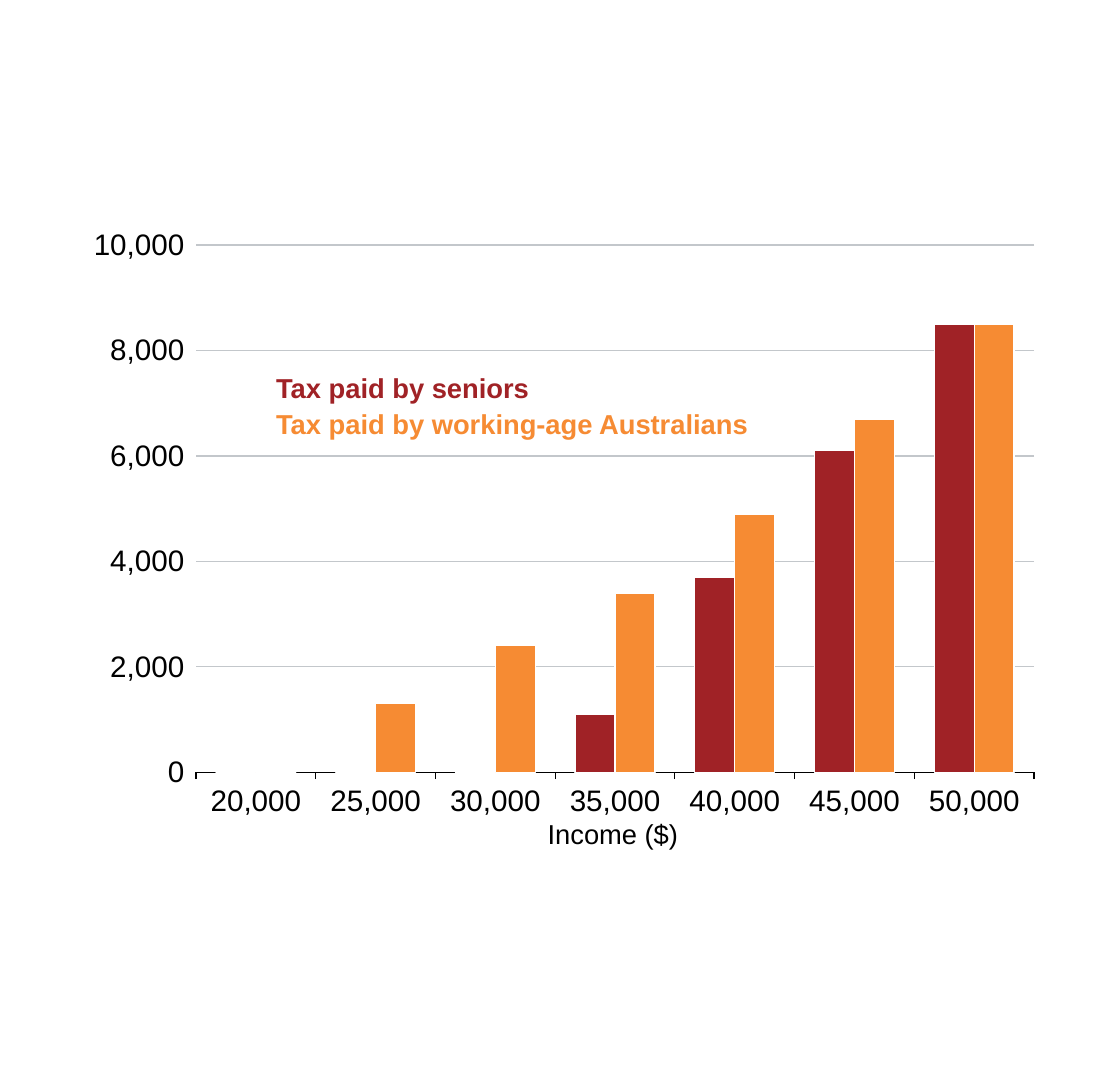
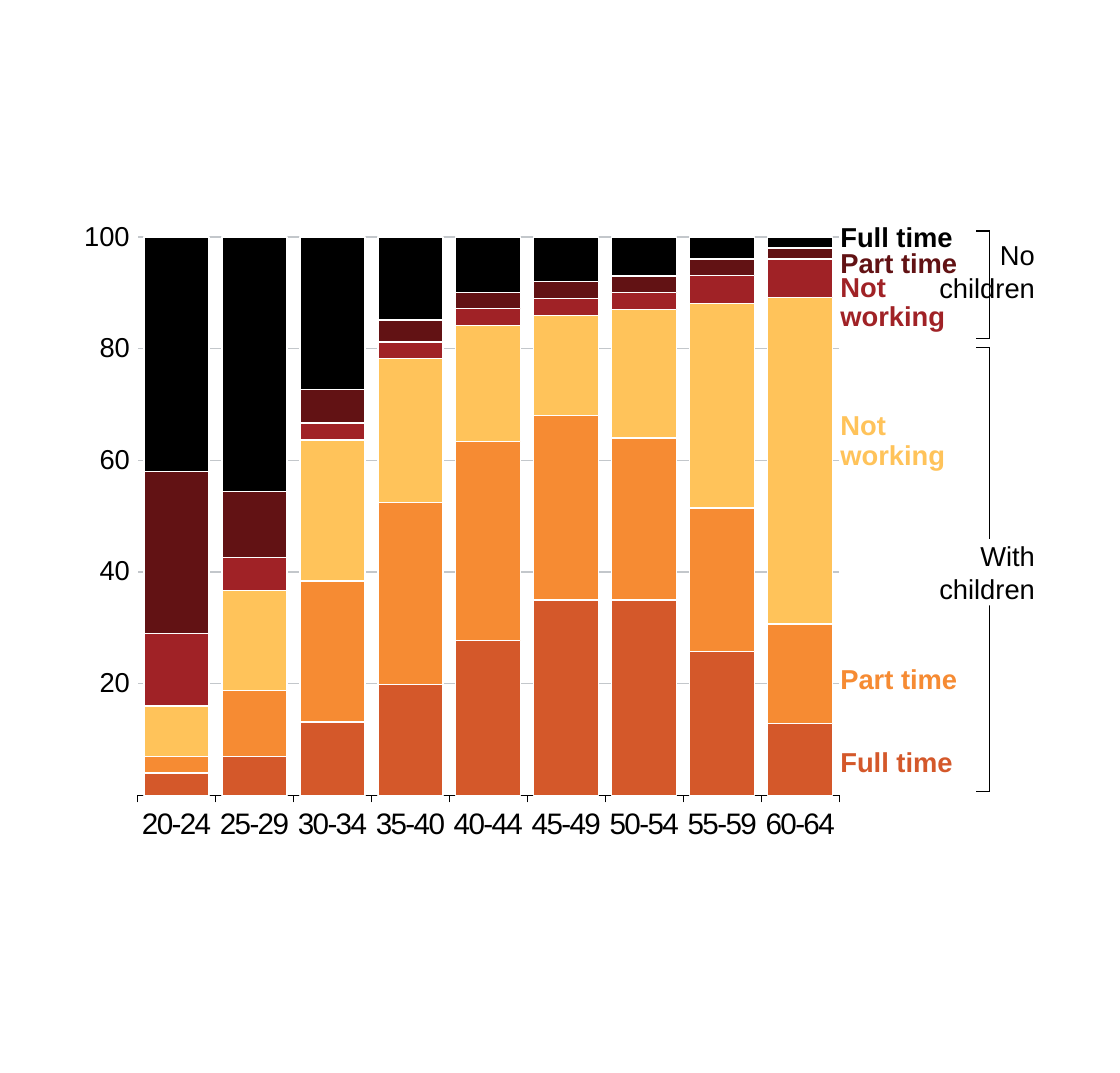
from dataclasses import dataclass

from lxml import etree
from pptx import Presentation
from pptx.chart.axis import CategoryAxis, ValueAxis
from pptx.chart.chart import Chart
from pptx.chart.data import CategoryChartData
from pptx.dml.color import RGBColor
from pptx.dml.line import LineFormat
from pptx.enum.chart import XL_CHART_TYPE, XL_TICK_LABEL_POSITION, XL_TICK_MARK
from pptx.enum.shapes import MSO_CONNECTOR, MSO_SHAPE
from pptx.enum.text import MSO_AUTO_SIZE, PP_ALIGN
from pptx.oxml.ns import qn
from pptx.slide import Slide
from pptx.text.text import Font
from pptx.util import Cm, Emu, Pt

CLUSTERED = XL_CHART_TYPE.COLUMN_CLUSTERED
STACKED_100 = XL_CHART_TYPE.COLUMN_STACKED_100
NO_LABELS = XL_TICK_LABEL_POSITION.NONE
TICK_OUT, TICK_NONE = XL_TICK_MARK.OUTSIDE, XL_TICK_MARK.NONE
STRAIGHT = MSO_CONNECTOR.STRAIGHT
RECTANGLE = MSO_SHAPE.RECTANGLE
FIT_SHAPE = MSO_AUTO_SIZE.SHAPE_TO_FIT_TEXT
LEFT, RIGHT = PP_ALIGN.LEFT, PP_ALIGN.RIGHT

EMU_PER_PX = 9144  # 100 px to the inch
SLIDE_WIDTH, SLIDE_HEIGHT = Cm(24), Cm(23)

FONT = "Arial"
LABEL_SIZE, AXIS_SIZE, LINE_WIDTH = 16.6, 18, 0.75
BLACK, WHITE, GRID = "000000", "FFFFFF", "C3C7CB"
RED, MAROON = "A02226", "621214"
RUST, ORANGE, YELLOW = "D4582A", "F68B33", "FFC35A"


@dataclass(frozen=True)
class Box:
    left: int
    top: int
    width: int
    height: int

    def emu(self) -> tuple[Emu, ...]:
        return tuple(px(n) for n in (self.left, self.top, self.width, self.height))


@dataclass(frozen=True)
class Label:
    lines: tuple[str, ...]
    box: Box
    color: str = BLACK
    bold: bool = False
    align: PP_ALIGN = LEFT
    spacing: float = 1.0


@dataclass(frozen=True)
class Series:
    color: str
    values: tuple[int, ...]


@dataclass(frozen=True)
class ColumnChart:
    kind: XL_CHART_TYPE
    box: Box
    plot: tuple[float, float, float, float]
    categories: tuple[str, ...]
    series: tuple[Series, ...]
    gap: int
    overlap: int
    maximum: float
    step: float
    number_format: str


@dataclass(frozen=True)
class Bracket:
    top: int
    bottom: int
    spine: int = 835
    tip: int = 823


SENIORS_TAX = ColumnChart(
    kind=CLUSTERED,
    box=Box(63, 182, 826, 518),
    plot=(0.124, 0.048, 0.856, 0.859),
    categories=tuple(f"{income:,}" for income in range(20000, 50001, 5000)),
    series=(
        Series(RED, (0, 0, 0, 1100, 3700, 6100, 8500)),
        Series(ORANGE, (0, 1300, 2400, 3400, 4900, 6700, 8500)),
    ),
    gap=100, overlap=0, maximum=10000, step=2000, number_format="#,##0",
)
TAX_LABELS = (
    Label(("Tax paid by seniors",), Box(233, 313, 216, 28), RED, True),
    Label(("Tax paid by working-age Australians",), Box(233, 344, 403, 28), ORANGE, True),
    Label(("Income ($)",), Box(462, 690, 111, 28)),
)

WORK_BY_AGE = ColumnChart(
    kind=STACKED_100,
    box=Box(31, 183, 868, 532),
    plot=(0.098, 0.032, 0.682, 0.886),
    categories=("20-24", "25-29", "30-34", "35-40", "40-44",
                "45-49", "50-54", "55-59", "60-64"),
    series=(
        Series(RUST, (4, 7, 13, 20, 28, 35, 35, 26, 13)),
        Series(ORANGE, (3, 12, 25, 33, 36, 33, 29, 26, 18)),
        Series(YELLOW, (9, 18, 25, 26, 21, 18, 23, 37, 59)),
        Series(RED, (13, 6, 3, 3, 3, 3, 3, 5, 7)),
        Series(MAROON, (29, 12, 6, 4, 3, 3, 3, 3, 2)),
        Series(BLACK, (42, 46, 27, 15, 10, 8, 7, 4, 2)),
    ),
    gap=20, overlap=100, maximum=1, step=0.2, number_format="0%",
)
WORK_LABELS = (
    Label(("Full time",), Box(709, 186, 96, 28), BLACK, True),
    Label(("Not", "working"), Box(709, 348, 89, 50), YELLOW, True, spacing=0.9),
    Label(("Part time",), Box(709, 208, 100, 28), MAROON, True),
    Label(("Not", "working"), Box(709, 231, 89, 50), RED, True, spacing=0.9),
    Label(("Part time",), Box(709, 559, 100, 28), ORANGE, True),
    Label(("Full time",), Box(709, 629, 96, 28), RUST, True),
)
FAMILY_LABELS = (
    Label(("No", "children"), Box(792, 201, 81, 56), align=RIGHT),
    Label(("With", "children"), Box(792, 455, 81, 56), align=RIGHT),
)
FAMILY_BRACKETS = (Bracket(195, 286), Bracket(293, 668))
WITH_CHILDREN_GAP = Box(820, 455, 30, 56)

PERCENT_RIGHT, PERCENT_TOP, PERCENT_STEP, DIGIT_WIDTH = 110, 185, 94, 13


def px(length: int) -> Emu:
    return Emu(length * EMU_PER_PX)


def rgb(color: str) -> RGBColor:
    return RGBColor.from_string(color)


def set_all(target: object, formats: dict[str, object]) -> None:
    for attribute, value in formats.items():
        setattr(target, attribute, value)


def style_font(font: Font, size: float, color: str, bold: bool = False) -> None:
    set_all(font, {"name": FONT, "size": Pt(size), "bold": bold})
    font.color.rgb = rgb(color)


def style_line(line: LineFormat, color: str) -> None:
    line.width = Pt(LINE_WIDTH)
    line.color.rgb = rgb(color)


def add_label(slide: Slide, label: Label) -> None:
    frame = slide.shapes.add_textbox(*label.box.emu()).text_frame
    margins = dict.fromkeys(
        ("margin_left", "margin_top", "margin_right", "margin_bottom"), 0)
    set_all(frame, {**margins, "word_wrap": False, "auto_size": FIT_SHAPE})
    frame.text = "\n".join(label.lines)
    for paragraph in frame.paragraphs:
        set_all(paragraph, {"alignment": label.align, "line_spacing": label.spacing})
        style_font(paragraph.runs[0].font, LABEL_SIZE, label.color, label.bold)


def add_bracket(slide: Slide, bracket: Bracket) -> None:
    group = slide.shapes.add_group_shape()
    spine, tip, top, bottom = bracket.spine, bracket.tip, bracket.top, bracket.bottom
    for ends in ((spine, top, spine, bottom),
                 (spine, top, tip, top),
                 (spine, bottom, tip, bottom)):
        line = group.shapes.add_connector(STRAIGHT, *(px(n) for n in ends))
        style_line(line.line, BLACK)
        etree.SubElement(line._element.spPr, qn("a:effectLst"))


def add_mask(slide: Slide, box: Box) -> None:
    """Open a white gap in a bracket for its label."""
    mask = slide.shapes.add_shape(RECTANGLE, *box.emu())
    mask.shadow.inherit = False
    mask.fill.solid()
    mask.fill.fore_color.rgb = rgb(WHITE)
    mask.line.fill.background()


def place_plot(chart: Chart, plot: tuple[float, float, float, float]) -> None:
    """Fix the inner plot area as fractions of the chart."""
    area = chart._chartSpace.chart.plotArea
    for old_layout in area.findall(qn("c:layout")):
        area.remove(old_layout)
    layout = etree.Element(qn("c:layout"))
    manual = etree.SubElement(layout, qn("c:manualLayout"))
    settings = {"layoutTarget": "inner", "xMode": "edge", "yMode": "edge",
                **dict(zip("xywh", plot))}
    for tag, value in settings.items():
        etree.SubElement(manual, qn(f"c:{tag}")).set("val", str(value))
    area.insert(0, layout)


def style_category_axis(axis: CategoryAxis) -> None:
    set_all(axis, {"major_tick_mark": TICK_OUT, "minor_tick_mark": TICK_NONE,
                   "has_major_gridlines": False})
    style_font(axis.tick_labels.font, AXIS_SIZE, BLACK)
    style_line(axis.format.line, BLACK)


def style_value_axis(axis: ValueAxis, data: ColumnChart) -> None:
    set_all(axis, {"minimum_scale": 0, "maximum_scale": data.maximum,
                   "major_unit": data.step, "has_major_gridlines": True,
                   "major_tick_mark": TICK_OUT, "minor_tick_mark": TICK_NONE})
    set_all(axis.tick_labels, {"number_format": data.number_format,
                               "number_format_is_linked": False})
    style_font(axis.tick_labels.font, AXIS_SIZE, BLACK)
    axis.format.line.fill.background()
    style_line(axis.major_gridlines.format.line, GRID)


def add_column_chart(slide: Slide, data: ColumnChart) -> Chart:
    numbers = CategoryChartData()
    numbers.categories = data.categories
    for index, series in enumerate(data.series, 1):
        numbers.add_series(f"Series {index}", series.values)
    chart = slide.shapes.add_chart(data.kind, *data.box.emu(), numbers).chart
    set_all(chart, {"has_title": False, "has_legend": False})
    style_font(chart.font, AXIS_SIZE, BLACK)
    place_plot(chart, data.plot)
    style_category_axis(chart.category_axis)
    style_value_axis(chart.value_axis, data)
    columns = chart.plots[0]
    set_all(columns, {"gap_width": data.gap, "overlap": data.overlap,
                      "vary_by_categories": False})
    for drawn, series in zip(columns.series, data.series):
        drawn.invert_if_negative = False
        drawn.format.fill.solid()
        drawn.format.fill.fore_color.rgb = rgb(series.color)
        style_line(drawn.format.line, WHITE)
    return chart


def build_tax_slide(slide: Slide) -> None:
    add_column_chart(slide, SENIORS_TAX)
    for label in TAX_LABELS:
        add_label(slide, label)


def build_work_slide(slide: Slide) -> None:
    chart = add_column_chart(slide, WORK_BY_AGE)
    chart.value_axis.tick_label_position = NO_LABELS
    age_font = chart.category_axis._element.find(f".//{qn('a:defRPr')}")
    age_font.set("spc", "-100")
    for bracket in FAMILY_BRACKETS:
        add_bracket(slide, bracket)
    add_mask(slide, WITH_CHILDREN_GAP)
    for label in WORK_LABELS + FAMILY_LABELS:
        add_label(slide, label)
    for row, percent in enumerate(range(100, 0, -20)):
        width = DIGIT_WIDTH * len(str(percent))
        top = PERCENT_TOP + row * PERCENT_STEP
        add_label(slide, Label((str(percent),), Box(PERCENT_RIGHT - width, top, width, 28)))


def main() -> None:
    deck = Presentation()
    deck.slide_width = SLIDE_WIDTH
    deck.slide_height = SLIDE_HEIGHT
    blank = deck.slide_layouts[6]
    build_tax_slide(deck.slides.add_slide(blank))
    build_work_slide(deck.slides.add_slide(blank))
    deck.save("out.pptx")


if __name__ == "__main__":
    main()
